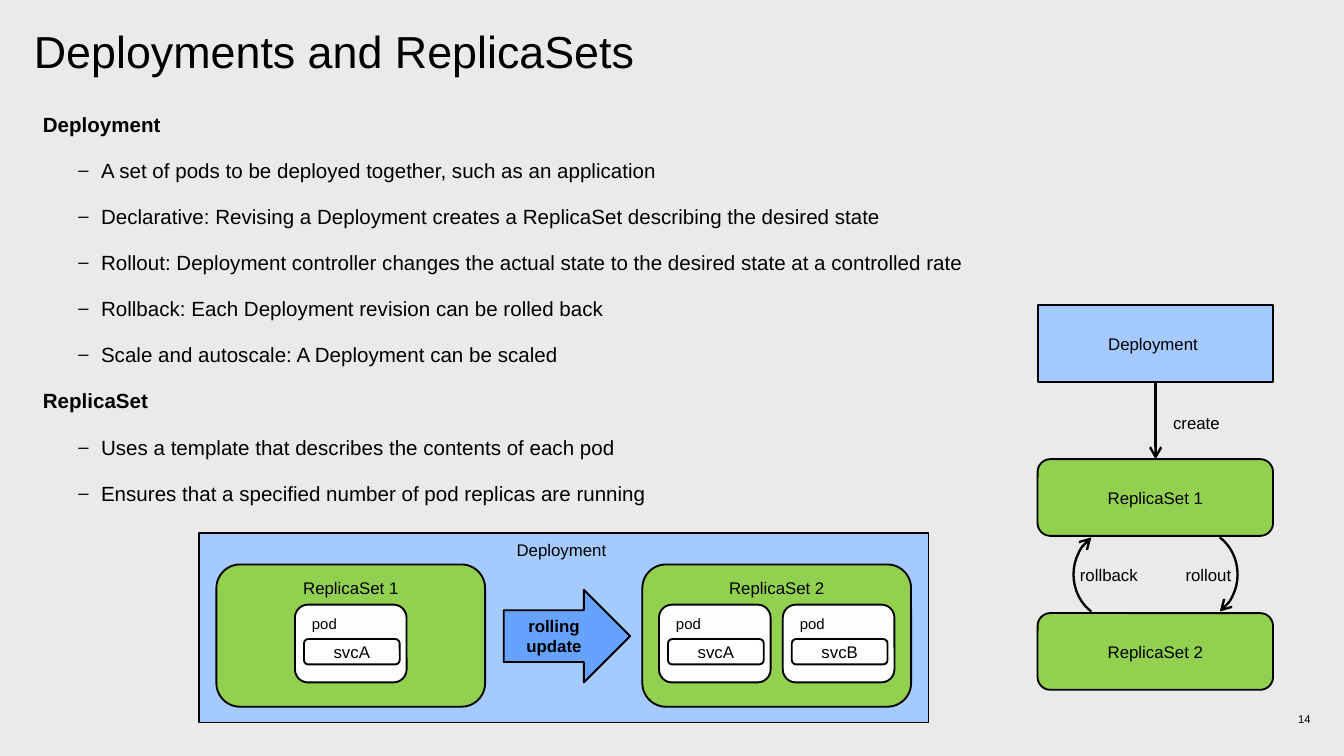
from dataclasses import dataclass

from lxml.etree import SubElement
from pptx import Presentation
from pptx.dml.color import RGBColor
from pptx.enum.shapes import MSO_CONNECTOR, MSO_SHAPE as Preset
from pptx.enum.text import MSO_ANCHOR as Anchor, MSO_AUTO_SIZE as AutoSize, PP_ALIGN as Align
from pptx.oxml.ns import qn
from pptx.util import Cm, Pt

BLACK = RGBColor(0x00, 0x00, 0x00)
WHITE = RGBColor(0xFF, 0xFF, 0xFF)
OFF_WHITE = RGBColor(0xFD, 0xFD, 0xFD)
GREY = RGBColor(0xEA, 0xEA, 0xEA)
BLUE = RGBColor(0xA5, 0xCA, 0xFF)
ARROW_BLUE = RGBColor(0x66, 0xA2, 0xFF)
GREEN = RGBColor(0x92, 0xD0, 0x50)


@dataclass
class Area:
    left: float
    top: float
    width: float
    height: float

    def lengths(self) -> tuple:
        return Cm(self.left), Cm(self.top), Cm(self.width), Cm(self.height)


@dataclass
class Block:
    text: str
    area: Area
    fill: RGBColor
    preset: Preset = Preset.ROUNDED_RECTANGLE
    anchor: Anchor = Anchor.MIDDLE
    align: Align = Align.CENTER
    size: float = 9
    bold: bool = False
    wrap: bool = False
    adjustments: tuple = ()


@dataclass
class Label:
    text: str
    area: Area
    align: Align = Align.LEFT
    anchor: Anchor = Anchor.MIDDLE
    size: float = 9
    inset_x: float = 0
    inset_y: float = 0


@dataclass
class Turn:
    area: Area
    start: float
    end: float


@dataclass
class ReplicaSet:
    name: str
    left: float
    pods: tuple


@dataclass
class Section:
    heading: str
    points: tuple


def add_run(paragraph, text: str, size: float, bold: bool = False) -> None:
    run = paragraph.add_run()
    run.text = text
    run.font.name = "Arial"
    run.font.size = Pt(size)
    run.font.bold = bold
    run.font.color.rgb = BLACK


def set_insets(frame, x: float = 0, y: float = 0) -> None:
    frame.margin_left = frame.margin_right = Cm(x)
    frame.margin_top = frame.margin_bottom = Cm(y)


def move(placeholder, area: Area):
    placeholder.left, placeholder.top, placeholder.width, placeholder.height = area.lengths()
    frame = placeholder.text_frame
    frame.auto_size = AutoSize.NONE
    frame.vertical_anchor = Anchor.TOP
    frame.word_wrap = True
    set_insets(frame)
    return frame


def add_block(shapes, block: Block) -> None:
    shape = shapes.add_shape(block.preset, *block.area.lengths())
    shape.shadow.inherit = False
    for index, value in enumerate(block.adjustments):
        shape.adjustments[index] = value
    shape.fill.solid()
    shape.fill.fore_color.rgb = block.fill
    shape.line.color.rgb = BLACK
    shape.line.width = Pt(1)
    frame = shape.text_frame
    frame.word_wrap = block.wrap
    frame.vertical_anchor = block.anchor
    paragraph = frame.paragraphs[0]
    paragraph.alignment = block.align
    add_run(paragraph, block.text, block.size, block.bold)


def add_label(shapes, label: Label) -> None:
    frame = shapes.add_textbox(*label.area.lengths()).text_frame
    frame.word_wrap = True
    frame.vertical_anchor = label.anchor
    set_insets(frame, label.inset_x, label.inset_y)
    frame.paragraphs[0].alignment = label.align
    add_run(frame.paragraphs[0], label.text, label.size)


def add_arrowhead(line) -> None:
    line.color.rgb = BLACK
    line.width = Pt(1.25)
    SubElement(line._get_or_add_ln(), qn("a:tailEnd"), type="arrow")


def add_turn(shapes, turn: Turn) -> None:
    arc = shapes.add_shape(Preset.ARC, *turn.area.lengths())
    arc.shadow.inherit = False
    arc.fill.background()
    arc.adjustments[0] = turn.start * 0.6
    arc.adjustments[1] = turn.end * 0.6
    add_arrowhead(arc.line)


def add_point(frame, text: str, heading: bool) -> None:
    first = frame.paragraphs[0]
    paragraph = frame.add_paragraph() if first.runs else first
    paragraph.level = 0 if heading else 1
    paragraph.space_before = Pt(11.5)
    properties = paragraph._p.get_or_add_pPr()
    properties.set("marL", str(0 if heading else Cm(1.1)))
    properties.set("indent", str(0 if heading else Cm(-0.43)))
    if heading:
        SubElement(properties, qn("a:buNone"))
    else:
        SubElement(SubElement(properties, qn("a:buClr")), qn("a:srgbClr"), val=str(BLACK))
        SubElement(properties, qn("a:buSzPct"), val="90000")
        SubElement(properties, qn("a:buFont"), typeface="Arial")
        SubElement(properties, qn("a:buChar"), char="–")
    add_run(paragraph, text, 11, heading)


def add_replica_set(shapes, replica_set: ReplicaSet) -> None:
    pod_width, pod_gap, set_width = 2.11, 0.23, 5.08
    count = len(replica_set.pods)
    row_width = count * pod_width + (count - 1) * pod_gap
    row_left = replica_set.left + (set_width - row_width) / 2
    add_block(shapes, Block(replica_set.name, Area(replica_set.left, 10.67, set_width, 2.69),
                            GREEN, anchor=Anchor.TOP))
    for index, service in enumerate(replica_set.pods):
        left = row_left + index * (pod_width + pod_gap)
        add_block(shapes, Block("pod", Area(left, 11.43, pod_width, 1.47), OFF_WHITE,
                                anchor=Anchor.TOP, align=Align.LEFT, size=8))
        add_block(shapes, Block(service, Area(left + 0.17, 12.08, 1.81, 0.48), WHITE))


SECTIONS = (
    Section("Deployment", (
        "A set of pods to be deployed together, such as an application",
        "Declarative: Revising a Deployment creates a ReplicaSet describing the desired state",
        "Rollout: Deployment controller changes the actual state to the desired state at a controlled rate",
        "Rollback: Each Deployment revision can be rolled back",
        "Scale and autoscale: A Deployment can be scaled")),
    Section("ReplicaSet", (
        "Uses a template that describes the contents of each pod",
        "Ensures that a specified number of pod replicas are running ")),
)
REPLICA_SETS = (
    ReplicaSet("ReplicaSet 1", 4.09, ("svcA",)),
    ReplicaSet("ReplicaSet 2", 12.14, ("svcA", "svcB")),
)
LIFECYCLE = (
    ("Deployment ", BLUE, Preset.RECTANGLE),
    ("ReplicaSet 1", GREEN, Preset.ROUNDED_RECTANGLE),
    ("ReplicaSet 2", GREEN, Preset.ROUNDED_RECTANGLE),
)
ROLLOUT = Area(21.84, 10.01, 1.55, 1.7)
ROLLBACK = Area(20.29, 10.01, 1.55, 1.7)
TURNS = (Turn(ROLLOUT, 302, 58), Turn(ROLLBACK, 122, 238))
LABELS = (
    Label("rollout", ROLLOUT, Align.RIGHT, inset_x=0.12),
    Label("rollback", ROLLBACK, inset_x=0.12),
    Label("create", Area(21.92, 7.67, 1.96, 0.64), anchor=Anchor.TOP, inset_x=0.25, inset_y=0.13),
    Label("14", Area(19.05, 13.41, 5.72, 0.38), Align.RIGHT, size=6),
)

deck = Presentation()
deck.slide_width, deck.slide_height = Cm(25.4), Cm(14.29)
slide = deck.slides.add_slide(deck.slide_layouts[1])
slide.background.fill.solid()
slide.background.fill.fore_color.rgb = GREY
shapes = slide.shapes

heading = move(shapes.title, Area(0.64, 0.56, 20.83, 1.32)).paragraphs[0]
heading.alignment = Align.LEFT
heading.line_spacing = 0.9
add_run(heading, "Deployments and ReplicaSets", 24)

body = move(slide.placeholders[1], Area(0.81, 2.11, 18.8, 7.62))
for section in SECTIONS:
    add_point(body, section.heading, True)
    for point in section.points:
        add_point(body, point, False)

add_block(shapes, Block("Deployment ", Area(3.76, 10.08, 13.79, 3.58), BLUE,
                        Preset.RECTANGLE, Anchor.TOP))
for replica_set in REPLICA_SETS:
    add_replica_set(shapes, replica_set)
add_block(shapes, Block("rolling update", Area(9.52, 11.15, 2.39, 1.75), ARROW_BLUE,
                        Preset.RIGHT_ARROW, bold=True, wrap=True, adjustments=(0.56, 0.5)))

for step, (name, fill, preset) in enumerate(LIFECYCLE):
    add_block(shapes, Block(name, Area(19.61, 5.77 + 2.91 * step, 4.45, 1.45), fill, preset))
for turn in TURNS:
    add_turn(shapes, turn)
create = shapes.add_connector(MSO_CONNECTOR.STRAIGHT, Cm(21.84), Cm(7.22), Cm(21.84), Cm(8.68))
add_arrowhead(create.line)
SubElement(create._element.spPr, qn("a:effectLst"))
for label in LABELS:
    add_label(shapes, label)

deck.save("out.pptx")
